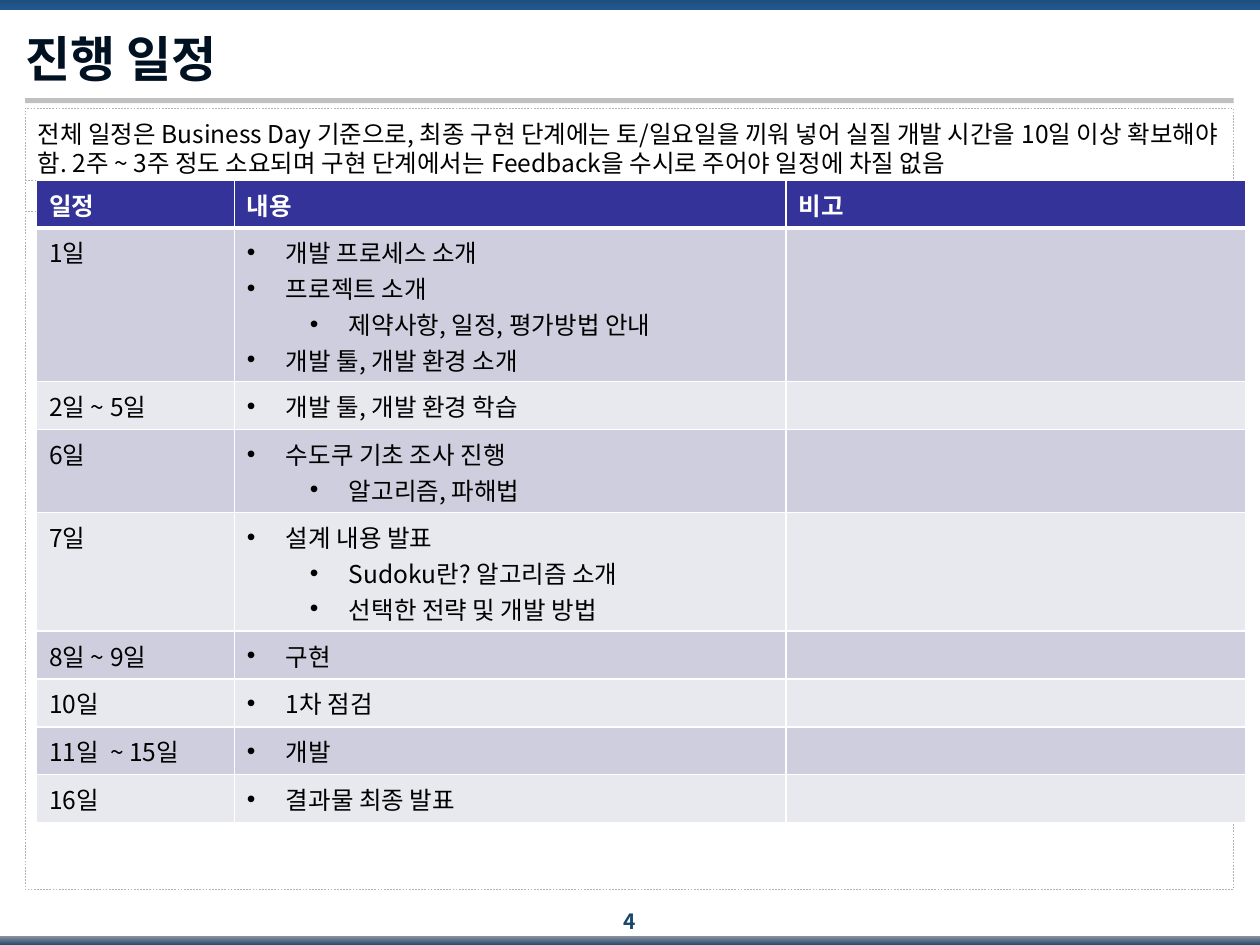
from dataclasses import dataclass

from lxml.etree import SubElement
from pptx import Presentation
from pptx.dml.color import RGBColor
from pptx.enum.dml import MSO_LINE_DASH_STYLE as Dash
from pptx.enum.shapes import MSO_CONNECTOR as Connector, MSO_SHAPE as Shape
from pptx.enum.text import MSO_ANCHOR as Anchor, PP_ALIGN as Align
from pptx.oxml.ns import qn
from pptx.util import Inches, Pt

FONT = "Noto Sans CJK KR"
WIDTH, HEIGHT = 10, 7.5
LEFT, CONTENT_WIDTH = 0.2, 9.59
LINE_HEIGHT, CELL_PADDING = 0.28, 0.1
COLUMNS = (1.57, 4.38, 3.65)
BANDS = ("CECEDE", "E8E8EF")


@dataclass
class Item:
    text: str
    level: int = 0


@dataclass
class Stage:
    days: str
    items: tuple[Item, ...]


@dataclass
class Bar:
    top: float
    height: float
    start: str
    end: str


HEADINGS = ("일정", "내용", "비고")
STAGES = (
    Stage("1일", (Item("개발 프로세스 소개"), Item("프로젝트 소개"),
                 Item("제약사항, 일정, 평가방법 안내", 1), Item("개발 툴, 개발 환경 소개"))),
    Stage("2일 ~ 5일", (Item("개발 툴, 개발 환경 학습"),)),
    Stage("6일", (Item("수도쿠 기초 조사 진행"), Item("알고리즘, 파해법", 1))),
    Stage("7일", (Item("설계 내용 발표"), Item("Sudoku란? 알고리즘 소개", 1),
                 Item("선택한 전략 및 개발 방법", 1))),
    Stage("8일 ~ 9일", (Item("구현"),)),
    Stage("10일", (Item("1차 점검"),)),
    Stage("11일  ~ 15일", (Item("개발"),)),
    Stage("16일", (Item("결과물 최종 발표"),)),
)
BARS = (Bar(0, 0.08, "1E4F7E", "22598E"), Bar(7.43, 0.07, "8C93A1", "29496D"))


def color(value: str) -> RGBColor:
    return RGBColor.from_string(value)


def style(para, size: float, ink: str, bold: bool = False) -> None:
    for span in para.runs:
        span.font.size, span.font.bold, span.font.name = Pt(size), bold, FONT
        span.font.color.rgb = color(ink)
        SubElement(span.font._element, qn("a:ea"), typeface=FONT)


def add_rect(page, left: float, top: float, width: float, height: float):
    box = page.shapes.add_shape(Shape.RECTANGLE, *map(Inches, (left, top, width, height)))
    box.shadow.inherit = False
    box.line.fill.background()
    return box


def dash_line(line) -> None:
    line.color.rgb = color("B2B2B2")
    line.width = Pt(0.25)
    line.dash_style = Dash.DASH


def add_text(page, text: str, area: tuple, margins: tuple, size: float, ink: str,
             bold: bool = False, anchor=Anchor.TOP, wrap: bool = True):
    frame = page.shapes.add_textbox(*map(Inches, area)).text_frame
    frame.word_wrap, frame.vertical_anchor = wrap, anchor
    (frame.margin_left, frame.margin_top,
     frame.margin_right, frame.margin_bottom) = map(Inches, margins)
    frame.text = text
    para = frame.paragraphs[0]
    style(para, size, ink, bold)
    return para


def add_bullet(para, level: int) -> None:
    para.level = level
    props = para._p.get_or_add_pPr()
    props.set("marL", str(Inches(0.31 + 0.5 * level)))
    props.set("indent", str(Inches(-0.31)))
    SubElement(props, qn("a:buFont"), typeface="Arial")
    SubElement(props, qn("a:buChar"), char="•")


def paint_cell(cell, fill: str, bottom: float = 1, top: float = 1) -> None:
    props = cell._tc.get_or_add_tcPr()
    for side, width in (("L", 1), ("R", 1), ("T", top), ("B", bottom)):
        edge = SubElement(props, qn(f"a:ln{side}"), w=str(Pt(width)))
        SubElement(SubElement(edge, qn("a:solidFill")), qn("a:srgbClr"), val="FFFFFF")
    cell.fill.solid()
    cell.fill.fore_color.rgb = color(fill)


def add_schedule(page) -> None:
    heights = [CELL_PADDING + LINE_HEIGHT * count
               for count in (1, *(len(stage.items) for stage in STAGES))]
    table = page.shapes.add_table(len(heights), len(COLUMNS), Inches(0.29), Inches(1.43),
                                  Inches(sum(COLUMNS)), Inches(sum(heights))).table
    table.horz_banding = False
    for column, width in zip(table.columns, COLUMNS):
        column.width = Inches(width)
    for row, height in zip(table.rows, heights):
        row.height = Inches(height)

    # Heading row
    for cell, heading in zip(table.rows[0].cells, HEADINGS):
        cell.text = heading
        style(cell.text_frame.paragraphs[0], 14, "FFFFFF", True)
        paint_cell(cell, "333399", bottom=3)

    # One row per stage
    for index, stage in enumerate(STAGES):
        cells = table.rows[index + 1].cells
        days, content, _ = cells
        days.text = stage.days
        content.text = "\n".join(item.text for item in stage.items)
        for para, item in zip(content.text_frame.paragraphs, stage.items):
            add_bullet(para, item.level)
        for cell in cells:
            for para in cell.text_frame.paragraphs:
                style(para, 14, "000000")
                para.font.size = Pt(14)
            paint_cell(cell, BANDS[index % 2], top=1 if index else 3)


deck = Presentation()
deck.slide_width, deck.slide_height = Inches(WIDTH), Inches(HEIGHT)
page = deck.slides.add_slide(deck.slide_layouts[6])

# Gradient bars at the slide edges
for bar in BARS:
    fill = add_rect(page, 0, bar.top, WIDTH, bar.height).fill
    fill.gradient()
    fill.gradient_angle = 270
    for stop, position, shade in zip(fill.gradient_stops, (0, 1), (bar.start, bar.end)):
        stop.position = position
        stop.color.rgb = color(shade)

# Page number
number = add_text(page, "4", (4.83, 7.13, 0.34, 0.36), (0, 0.05, 0, 0.05), 12, "18476D",
                  True, Anchor.MIDDLE, False)
number.alignment = Align.CENTER

# Dashed content frame with its guide lines
content_frame = add_rect(page, LEFT, 0.86, CONTENT_WIDTH, 6.2)
content_frame.fill.background()
dash_line(content_frame.line)
for y in (1.43, 1.68):
    guide = page.shapes.add_connector(Connector.STRAIGHT, Inches(LEFT), Inches(y),
                                      Inches(LEFT + CONTENT_WIDTH), Inches(y))
    dash_line(guide.line)
    SubElement(guide._element.spPr, qn("a:effectLst"))

# Title and its rule
rule = add_rect(page, LEFT, 0.78, CONTENT_WIDTH, 0.04)
rule.fill.solid()
rule.fill.fore_color.rgb = color("C0C0C0")
title = add_text(page, "진행 일정", (LEFT, 0.06, CONTENT_WIDTH, 0.71), (0, 0, 0, 0.08),
                 28, "001122", True, Anchor.BOTTOM)
title.line_spacing = 1.25

# Schedule and summary
add_schedule(page)
summary = add_text(
    page,
    "전체 일정은 Business Day 기준으로, 최종 구현 단계에는 토/일요일을 끼워 넣어 실질 개발 시간을 "
    "10일 이상 확보해야 함. 2주 ~ 3주 정도 소요되며 구현 단계에서는 Feedback을 수시로 주어야 "
    "일정에 차질 없음",
    (LEFT, 0.89, CONTENT_WIDTH, 0.57), (0.1, 0.05, 0.1, 0.05), 14, "000000")
summary.line_spacing = Pt(17)

deck.save("out.pptx")
